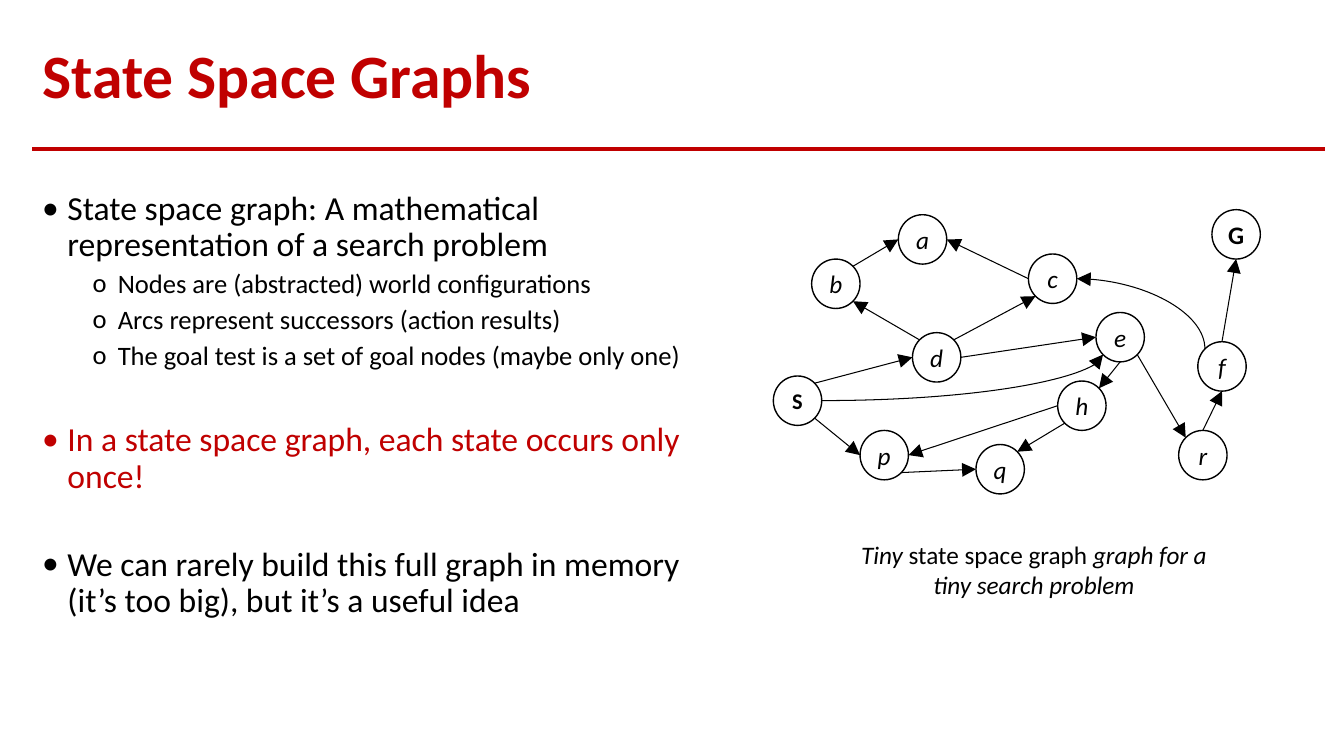
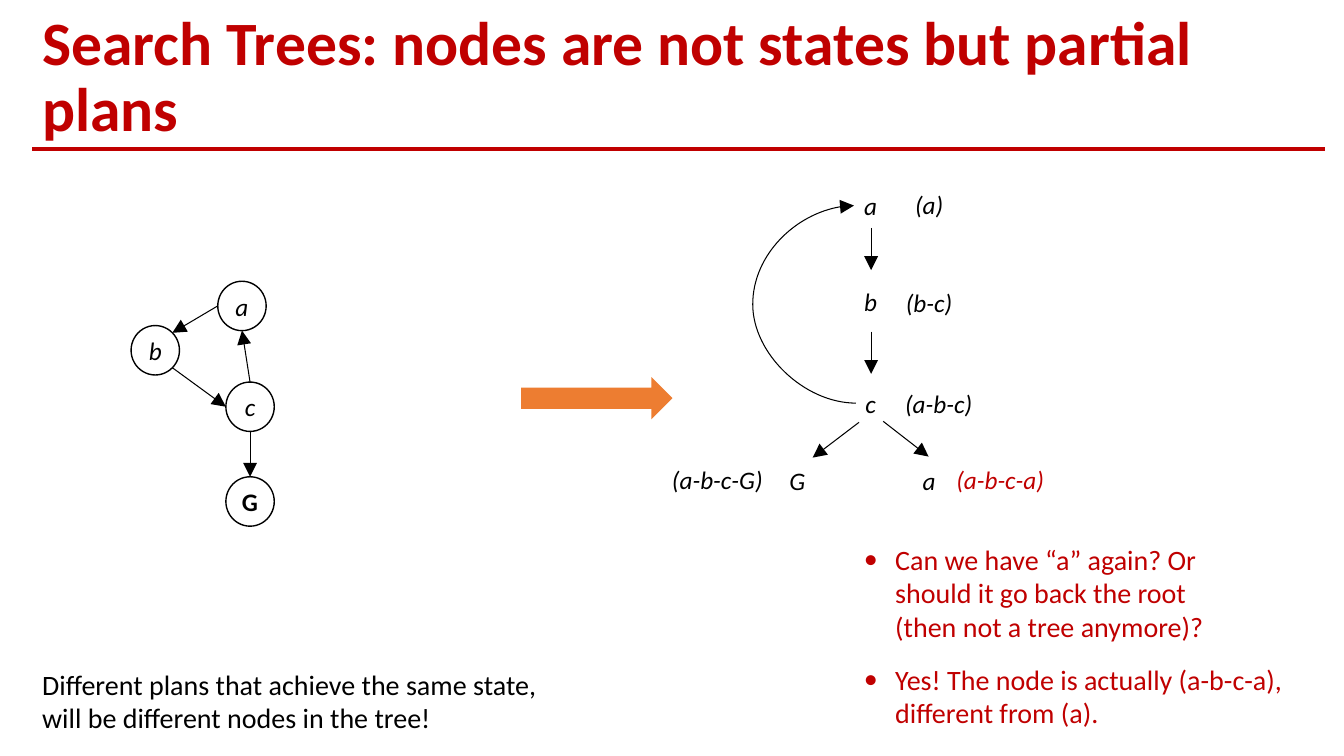
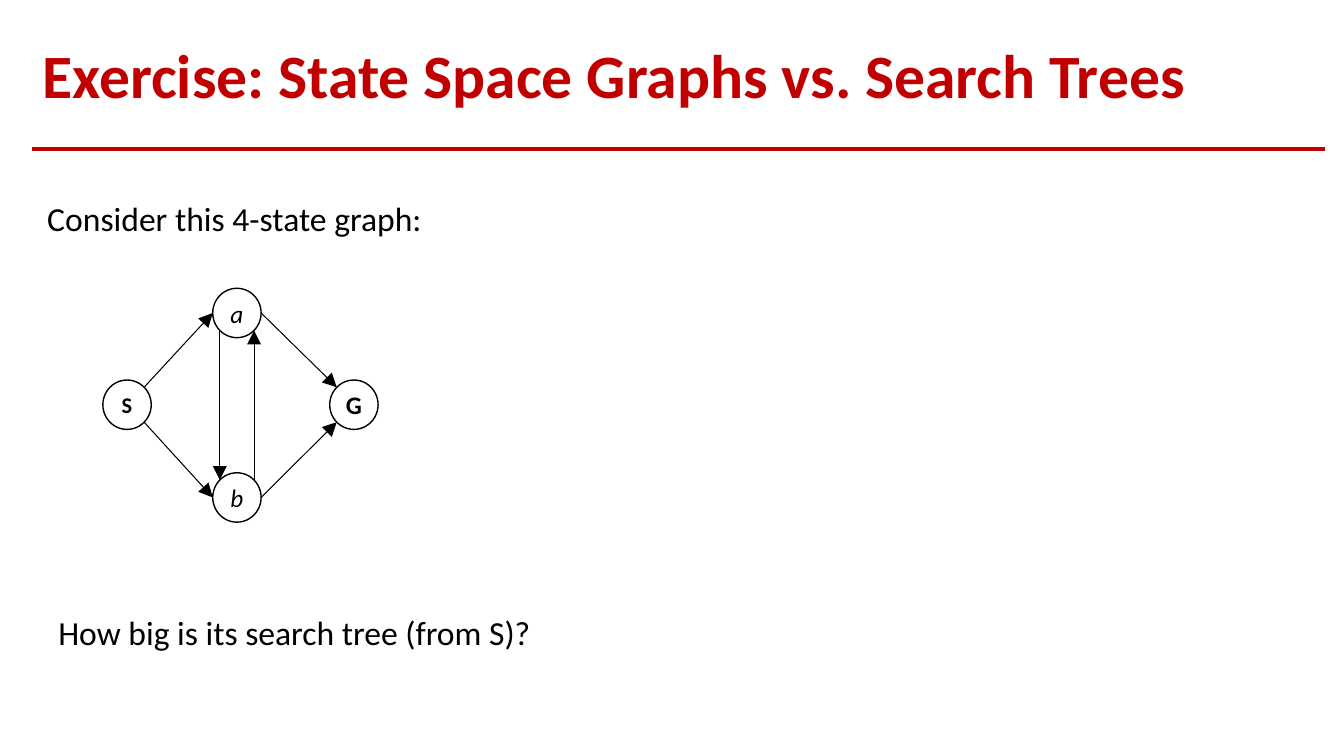
import math

import pptx
import pptx.dml.color
import pptx.enum.dml
import pptx.enum.shapes
import pptx.enum.text
import pptx.oxml
import pptx.oxml.ns
import pptx.util
from lxml import etree

PX = 9144  # EMU per px, 100 px to the inch
FONT = "Calibri"
COLORS = {"red": "C00000", "black": "000000", "orange": "ED7D31"}
NODE_W, NODE_H = 48, 49
SITES = ("t", "tl", "l", "bl", "b", "br", "r", "tr")  # counter-clockwise from the top

SHAPE = pptx.enum.shapes.MSO_SHAPE
CONNECTOR = pptx.enum.shapes.MSO_CONNECTOR
ALIGN = pptx.enum.text.PP_ALIGN
ANCHOR = pptx.enum.text.MSO_ANCHOR
AUTO_SIZE = pptx.enum.text.MSO_AUTO_SIZE


def px(*lengths):
    return [round(n * PX) for n in lengths]


def rgb(name):
    return pptx.dml.color.RGBColor.from_string(COLORS[name])


def child(parent, tag, **attrs):
    return etree.SubElement(parent, pptx.oxml.ns.qn(tag), attrs)


class Deck:
    def __init__(self):
        self.prs = pptx.Presentation()
        self.prs.slide_width, self.prs.slide_height = px(1333, 750)
        self.slide = None

    def new_slide(self, title):
        """Title-only slide with the red rule under its title."""
        self.slide = self.prs.slides.add_slide(self.prs.slide_layouts[5])
        sp = self.slide.shapes.title
        sp.left, sp.top, sp.width, sp.height = px(32, 28, 1282, 100)
        tf = sp.text_frame
        tf.auto_size = AUTO_SIZE.NONE
        tf.word_wrap = True
        tf.vertical_anchor = ANCHOR.MIDDLE
        p = tf.paragraphs[0]
        p.alignment = ALIGN.LEFT
        p.line_spacing = 0.9
        self.run(p, title, 44, "red", bold=True)
        self.line((32, 148), (1314, 148), "red", 2.5, arrow=None)

    def run(self, p, text, size, color="black", bold=False, italic=False):
        r = p.add_run()
        r.text = text
        f = r.font
        f.name, f.size, f.bold, f.italic = FONT, pptx.util.Pt(size), bold, italic
        f.color.rgb = rgb(color)

    def bullet(self, p, char, margin, hang):
        pPr = p._p.get_or_add_pPr()
        pPr.set("marL", str(margin * PX))
        pPr.set("indent", str(-hang * PX))
        child(pPr, "a:buFont", typeface=FONT)
        child(pPr, "a:buChar", char=char)

    def frame(self, box, wrap=True):
        tf = self.slide.shapes.add_textbox(*px(*box)).text_frame
        tf.word_wrap = wrap
        return tf

    def text(self, box, text, size, color="black", bullet=None):
        p = self.frame(box).paragraphs[0]
        if bullet:
            self.bullet(p, bullet, 31, 31)
        self.run(p, text, size, color)

    def label(self, x, y, w, text, color="black"):
        """Centred italic label on one line."""
        p = self.frame((x, y, w, 40), wrap=False).paragraphs[0]
        p.alignment = ALIGN.CENTER
        self.run(p, text, 18, color, italic=True)

    def outline(self, box, items):
        """Two-level bullet list; items are (level, space before, color, text)."""
        tf = self.frame(box)
        for i, (level, before, color, text) in enumerate(items):
            p = tf.add_paragraph() if i else tf.paragraphs[0]
            p.line_spacing = 0.9
            p.space_before = pptx.util.Pt(before)
            self.bullet(p, "•o"[level], (25, 75)[level], 25)
            self.run(p, text, (24, 19)[level], color)

    def shape(self, kind, box, fill=None):
        sp = self.slide.shapes.add_shape(kind, *px(*box))
        sp.shadow.inherit = False
        if fill:
            sp.fill.solid()
            sp.fill.fore_color.rgb = rgb(fill)
            sp.line.fill.background()
        else:
            sp.fill.background()
            sp.line.color.rgb = rgb("black")
            sp.line.width = pptx.util.Pt(1)
        return sp

    def node(self, name, x, y):
        """Round state; capitals mark the start and the goal."""
        sp = self.shape(SHAPE.FLOWCHART_CONNECTOR, (x, y, NODE_W, NODE_H))
        tf = sp.text_frame
        tf.word_wrap = False
        tf.vertical_anchor = ANCHOR.MIDDLE
        p = tf.paragraphs[0]
        p.alignment = ALIGN.CENTER
        special = name.isupper()
        self.run(p, name, 16 if name == "S" else 18, bold=special, italic=not special)
        return sp

    def line(self, start, end, color="black", width=0.75, arrow="tailEnd", curve=None, adj=None):
        kind = CONNECTOR.CURVE if curve else CONNECTOR.STRAIGHT
        cxn = self.slide.shapes.add_connector(kind, *px(*start, *end))
        cxn.line.color.rgb = rgb(color)
        cxn.line.width = pptx.util.Pt(width)
        spPr = cxn._element.spPr
        if arrow:
            child(cxn.line._get_or_add_ln(), "a:" + arrow, type="triangle", w="lg", len="lg")
        if curve:
            geom = spPr.find(pptx.oxml.ns.qn("a:prstGeom"))
            geom.set("prst", curve)
            if adj:
                guides = geom.find(pptx.oxml.ns.qn("a:avLst"))
                child(guides, "a:gd", name="adj1", fmla=f"val {adj}")
        child(spPr, "a:effectLst")
        return cxn

    def graph(self, nodes, edges, curves=()):
        """States at their top left corners, joined by arrows between sites."""
        shapes = {name: self.node(name, x, y) for name, (x, y) in nodes.items()}

        def site(end):
            name, side = end.split(".")
            x, y = nodes[name]
            idx = SITES.index(side)
            angle = math.radians(45 * idx)
            point = (x + NODE_W / 2 * (1 - math.sin(angle)),
                     y + NODE_H / 2 * (1 - math.cos(angle)))
            return point, shapes[name].shape_id, idx

        def join(edge, **style):
            ends = [site(end) for end in edge.split()]
            cxn = self.line(ends[0][0], ends[1][0], **style)
            glue = cxn._element.nvCxnSpPr.cNvCxnSpPr
            for tag, (_, shape_id, idx) in zip(("a:stCxn", "a:endCxn"), ends):
                child(glue, tag, id=str(shape_id), idx=str(idx))

        for edge in edges:
            join(edge)
        for edge, arrow in curves:
            join(edge, arrow=arrow, curve="curvedConnector2")


def state_space_graphs(deck):
    deck.new_slide("State Space Graphs")
    deck.outline((32, 185, 692, 495), [
        (0, 0, "black", "State space graph: A mathematical representation of a search problem"),
        (1, 5, "black", "Nodes are (abstracted) world configurations"),
        (1, 5, "black", "Arcs represent successors (action results)"),
        (1, 5, "black", "The goal test is a set of goal nodes (maybe only one)"),
        (0, 37, "red", "In a state space graph, each state occurs only once!"),
        (0, 37, "black", "We can rarely build this full graph in memory (it’s too big), "
                         "but it’s a useful idea"),
    ])
    deck.graph(
        {"S": (767, 373), "G": (1202, 208), "d": (905, 330), "b": (805, 257),
         "p": (853, 427), "q": (968, 441), "c": (1020, 252), "e": (1087, 310),
         "h": (1049, 378), "a": (891, 213), "f": (1188, 339), "r": (1169, 427)},
        ["S.br p.l", "p.br q.l", "h.bl q.tr", "h.l p.r", "e.b h.tr", "e.br r.tl", "r.t f.b",
         "f.t G.b", "S.tr d.l", "d.tl b.br", "b.tr a.l", "c.l a.r", "d.tr c.bl", "d.r e.l"],
        [("c.r f.tl", "headEnd"), ("S.r e.bl", "tailEnd")],
    )
    # Caption
    p = deck.frame((842, 530, 367, 71)).paragraphs[0]
    p.alignment = ALIGN.CENTER
    deck.run(p, "Tiny ", 18, italic=True)
    deck.run(p, "state space graph", 18)
    deck.run(p, " graph for a tiny search problem", 18, italic=True)


def search_trees(deck):
    deck.new_slide("Search Trees: nodes are not states but partial plans")
    deck.graph(
        {"G": (224, 473), "b": (130, 323), "a": (216, 279), "c": (224, 379)},
        ["b.br c.l", "a.l b.tr", "c.t a.b", "c.b G.t"],
    )
    deck.shape(SHAPE.RIGHT_ARROW, (517, 374, 150, 42), "orange")

    # Tree states and the plans they stand for
    for x, y, state in [(847, 184, "a"), (847, 279, "b"), (847, 380, "c"),
                        (905, 457, "a"), (773, 457, "G")]:
        deck.label(x, y, 33, state)
    for x, y, w, plan, color in [(897, 183, 49, "(a)", "black"), (888, 280, 67, "(b-c)", "black"),
                                 (887, 380, 88, "(a-b-c)", "black"),
                                 (938, 456, 108, "(a-b-c-a)", "red"),
                                 (656, 456, 111, "(a-b-c-G)", "black")]:
        deck.label(x, y, w, plan, color)

    # Tree branches and the way back to the root
    for start, end in [((864, 226), (864, 268)), ((864, 329), (864, 371)),
                       ((876, 418), (921, 453)), ((852, 419), (806, 454))]:
        deck.line(start, end)
    deck.line((849, 400), (847, 204), curve="curvedConnector3", adj=5100000)

    # Remarks
    deck.text((847, 533, 385, 111), "Can we have “a” again? Or should it go back the root "
              "(then not a tree anymore)?", 20, "red", "•")
    deck.text((847, 652, 467, 77), "Yes! The node is actually (a-b-c-a), different from (a).",
              20, "red", "•")
    deck.text((32, 657, 526, 77), "Different plans that achieve the same state, "
              "will be different nodes in the tree!", 20)


def exercise(deck):
    deck.new_slide("Exercise: State Space Graphs vs. Search Trees")
    deck.graph(
        {"S": (102, 377), "G": (327, 377), "b": (211, 469), "a": (211, 286)},
        ["S.br b.l", "a.bl b.tl", "b.tr a.br", "a.r G.tl", "b.r G.bl", "S.tr a.l"],
    )
    deck.text((37, 191, 425, 50), "Consider this 4-state graph:", 24)
    deck.text((48, 602, 558, 50), "How big is its search tree (from S)?", 24)


def main():
    deck = Deck()
    state_space_graphs(deck)
    search_trees(deck)
    exercise(deck)
    deck.prs.save("out.pptx")


if __name__ == "__main__":
    main()
